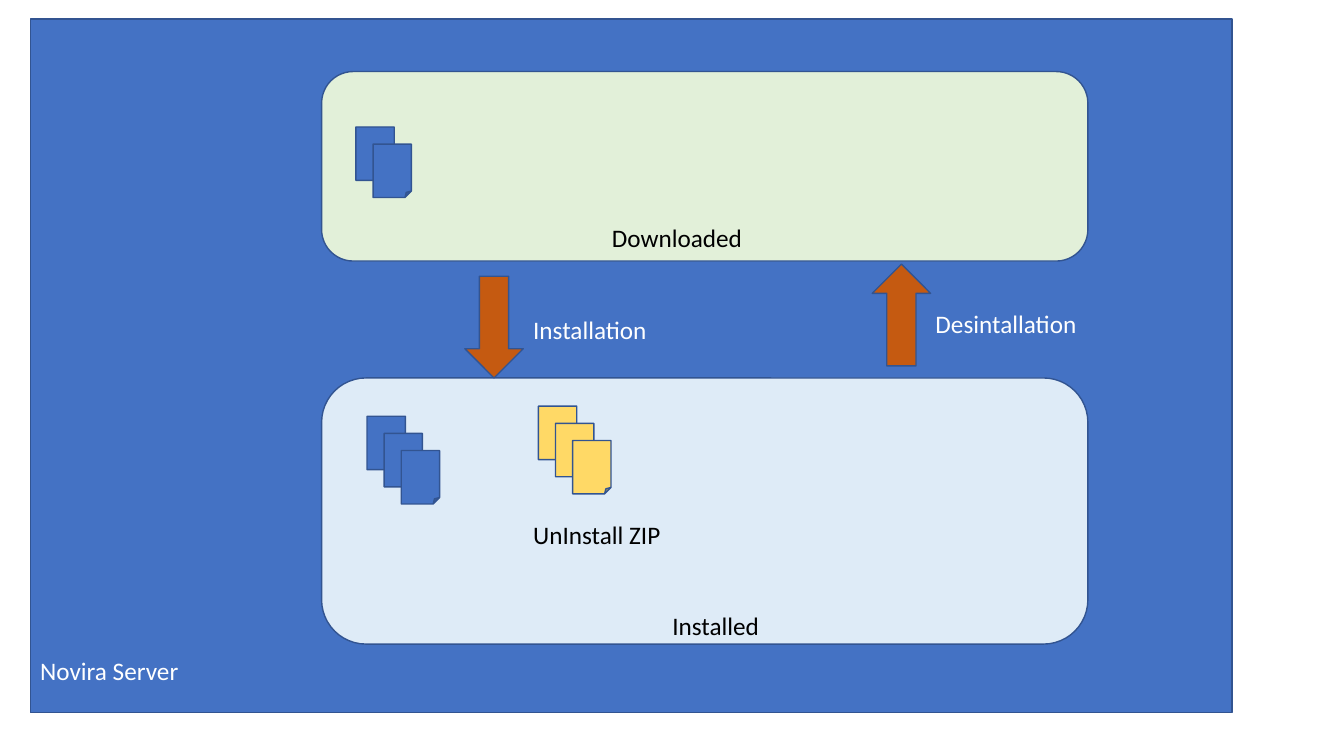
from pptx import Presentation
from pptx.dml.color import RGBColor
from pptx.enum.shapes import MSO_SHAPE
from pptx.enum.text import MSO_ANCHOR, PP_ALIGN
from pptx.util import Inches, Pt

COLOURS = {
    "blue": "4472C4",
    "outline": "325491",
    "pale blue": "DEEBF7",
    "pale green": "E2F0D9",
    "yellow": "FFD966",
    "orange": "C55A11",
    "black": "000000",
    "white": "FFFFFF",
}


class Diagram:
    font_name = "Calibri"
    font_size = Pt(18)
    line_width = Pt(1)
    page_step = 0.17

    def __init__(self, slide):
        self.slide = slide

    def colour(self, name):
        return RGBColor.from_string(COLOURS[name])

    def box(self, kind, left, top, width, height, fill):
        shape = self.slide.shapes.add_shape(
            kind, Inches(left), Inches(top), Inches(width), Inches(height))
        shape.shadow.inherit = False
        shape.fill.solid()
        shape.fill.fore_color.rgb = self.colour(fill)
        shape.line.color.rgb = self.colour("outline")
        shape.line.width = self.line_width
        return shape

    def set_text(self, shape, text, colour):
        shape.text_frame.text = text
        paragraph = shape.text_frame.paragraphs[0]
        paragraph.alignment = PP_ALIGN.LEFT
        font = paragraph.runs[0].font
        font.name = self.font_name
        font.size = self.font_size
        font.color.rgb = self.colour(colour)

    def label(self, text, left, top, width, colour):
        shape = self.slide.shapes.add_textbox(
            Inches(left), Inches(top), Inches(width), Inches(0.4))
        shape.text_frame.word_wrap = False
        self.set_text(shape, text, colour)

    def pages(self, left, top, count, fill):
        for index in range(count):
            offset = index * self.page_step
            self.box(MSO_SHAPE.FOLDED_CORNER, left + offset, top + offset, 0.38, 0.53, fill)

    def arrow(self, left, top, rotation):
        shape = self.box(MSO_SHAPE.DOWN_ARROW, left, top, 0.58, 1.01, "orange")
        shape.rotation = rotation


presentation = Presentation()
presentation.slide_width = Inches(13.33)
presentation.slide_height = Inches(7.5)
diagram = Diagram(presentation.slides.add_slide(presentation.slide_layouts[6]))

server = diagram.box(MSO_SHAPE.RECTANGLE, 0.3, 0.19, 11.92, 6.88, "blue")
diagram.set_text(server, "Novira Server", "white")
server.text_frame.vertical_anchor = MSO_ANCHOR.BOTTOM
server.text_frame.margin_bottom = Inches(0.27)

for top, height, fill in ((3.75, 2.64, "pale blue"), (0.71, 1.88, "pale green")):
    diagram.box(MSO_SHAPE.ROUNDED_RECTANGLE, 3.19, top, 7.6, height, fill)

for left, top, count, fill in (
    (3.64, 4.13, 3, "blue"),
    (3.53, 1.26, 2, "blue"),
    (5.34, 4.03, 3, "yellow"),
):
    diagram.pages(left, top, count, fill)

for left, top, rotation in ((4.61, 2.74, 0), (8.65, 2.62, 180)):
    diagram.arrow(left, top, rotation)

for text, left, top, width, colour in (
    ("Downloaded", 5.97, 2.16, 1.51, "black"),
    ("Installed", 6.57, 6.01, 1.07, "black"),
    ("UnInstall ZIP", 5.19, 5.1, 1.47, "black"),
    ("Installation", 5.19, 3.07, 1.34, "white"),
    ("Desintallation", 9.18, 3.01, 1.62, "white"),
):
    diagram.label(text, left, top, width, colour)

presentation.save("out.pptx")
